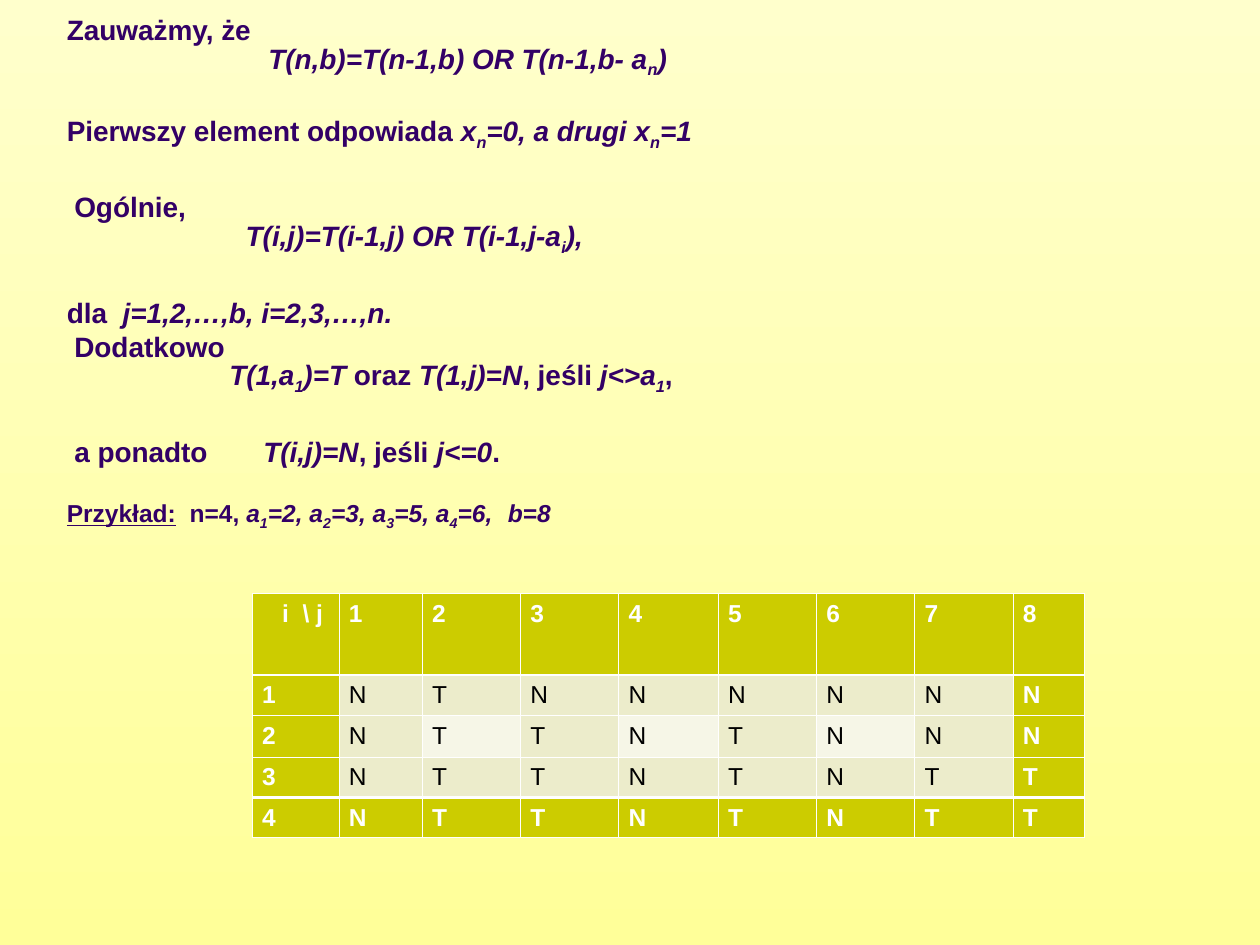
from pptx import Presentation, util as u
from pptx.dml.color import RGBColor
from pptx.enum import text
from pptx.oxml.ns import qn
from lxml import etree


def color(value):
    return RGBColor.from_string(value)


def add_run(paragraph, words, size, ink, **extra):
    run = paragraph.add_run()
    run.text = words
    run.font.color.rgb = color(ink)
    for key, value in {"name": "Arial", "size": u.Pt(size), **extra}.items():
        setattr(run.font, key, value)
    return run


prs = Presentation()
prs.slide_width, prs.slide_height = u.Inches(10), u.Inches(7.5)
slide = prs.slides.add_slide(prs.slide_layouts[5])

backdrop = slide.background.fill
backdrop.gradient()
backdrop.gradient_angle = 270
for stop, shade in zip(backdrop.gradient_stops, ("FFFFCC", "FFFF99")):
    stop.color.rgb = color(shade)

recurrence = slide.shapes.title
frame = recurrence.text_frame
for target, values in (
    (recurrence, {"left": 0.43, "top": 0.13, "width": 9.06, "height": 4.18}),
    (frame, {"margin_left": 0.1, "margin_right": 0.1, "margin_top": 0, "margin_bottom": 0.09}),
):
    for key, value in values.items():
        setattr(target, key, u.Inches(value))
frame.word_wrap = True
frame.auto_size = text.MSO_AUTO_SIZE.NONE
frame.vertical_anchor = text.MSO_ANCHOR.BOTTOM

# Run styles: i = italic, s = subscript, u = underline
lines = [
    (0, 0, 16, None, [("Zauważmy, że", "")]),
    (1.6, 0, 16, None, [("T(n,b)=T(n-1,b) OR T(n-1,b- a", "i"), ("n", "is"), (")", "i")]),
    (0, 22, 16, None, [("Pierwszy element odpowiada ", ""), ("x", "i"), ("n", "is"),
                       ("=0, a drugi x", "i"), ("n", "is"), ("=1", "i")]),
    (0.06, 22, 16, None, [("Ogólnie,", "")]),
    (1.42, 0, 16, None, [("T(i,j)=T(i-1,j) OR T(i-1,j-a", "i"), ("i", "is"), ("),", "i")]),
    (0, 22, 16, None, [("dla  ", ""), ("j=1,2,…,b, i=2,3,…,n.", "i")]),
    (0.06, 0, 16, None, [("Dodatkowo", "")]),
    (1.29, 0, 16, None, [("T(1,a", "i"), ("1", "is"), (")=T", "i"), (" oraz ", ""),
                         ("T(1,j)=N", "i"), (", jeśli ", ""), ("j<>a", "i"), ("1", "is"), (",", "")]),
    (0.06, 22, 16, 1.98, [("a ponadto\t", ""), ("T(i,j)=N", "i"), (", jeśli ", ""),
                          ("j<=0", "i"), (".", "")]),
    (0, 17, 14, 3.54, [("Przykład:", "u"), ("  n=4, ", ""), ("a", "i"), ("1", "is"),
                       ("=2, a", "i"), ("2", "is"), ("=3, a", "i"), ("3", "is"),
                       ("=5, a", "i"), ("4", "is"), ("=6,\tb=8", "i")]),
]
for number, (indent, gap, size, tab, runs) in enumerate(lines):
    line = frame.paragraphs[0] if number == 0 else frame.add_paragraph()
    line.alignment = text.PP_ALIGN.LEFT
    line.line_spacing = u.Pt(19.2)
    line.space_before = u.Pt(gap)
    props = line._p.get_or_add_pPr()
    props.set("marL", str(u.Inches(indent)))
    props.set("indent", "0")
    if tab:
        tabs = etree.SubElement(props, qn("a:tabLst"))
        etree.SubElement(tabs, qn("a:tab"), pos=str(u.Inches(tab)), algn="l")
    for words, style in runs:
        run = add_run(line, words, size, "330066", bold=True,
                      italic="i" in style, underline="u" in style)
        if "s" in style:
            run.font._element.set("baseline", "-25000")

widths = [0.69, 0.66, 0.78, 0.78, 0.79, 0.78, 0.78, 0.78, 0.57]
heights = [0.65, 0.32, 0.33, 0.32, 0.32]
answers = ["NTNNNNNN", "NTTNTNNN", "NTTNTNTT", "NTTNTNTT"]
rows = [["i  \\ j", *"12345678"]] + [[str(i), *row] for i, row in enumerate(answers, 1)]

grid = slide.shapes.add_table(len(rows), len(widths), u.Inches(2), u.Inches(4.71),
                              u.Inches(sum(widths)), u.Inches(sum(heights))).table
for column, width in zip(grid.columns, widths):
    column.width = u.Inches(width)
for row, height in zip(grid.rows, heights):
    row.height = u.Inches(height)

margins = {"margin_left": 0.08, "margin_right": 0.08, "margin_top": 0.05, "margin_bottom": 0.05}
for i, row in enumerate(rows):
    for j, words in enumerate(row):
        cell = grid.cell(i, j)
        for key, value in margins.items():
            setattr(cell, key, u.Inches(value))
        edge = i in (0, 4) or j in (0, 8)
        light = i == 2 and j in (2, 4, 6)
        entry = cell.text_frame.paragraphs[0]
        add_run(entry, words, 14, "FFFFFF" if edge else "000000", bold=edge)
        if i == j == 0:
            entry._p.get_or_add_pPr().set("marL", str(u.Inches(0.16)))
        thick = {"lnT": i in (1, 4), "lnB": i in (0, 3)}
        for side in ("lnL", "lnR", "lnT", "lnB"):
            weight = 1.47 if thick.get(side) else 0.45
            border = etree.SubElement(cell._tc.get_or_add_tcPr(), qn("a:" + side),
                                      w=str(u.Pt(weight)))
            paint = etree.SubElement(border, qn("a:solidFill"))
            etree.SubElement(paint, qn("a:srgbClr"), val="FFFFFF")
        cell.fill.solid()
        cell.fill.fore_color.rgb = color("CCCC00" if edge else "F6F6E7" if light else "ECECCB")

prs.save("out.pptx")
